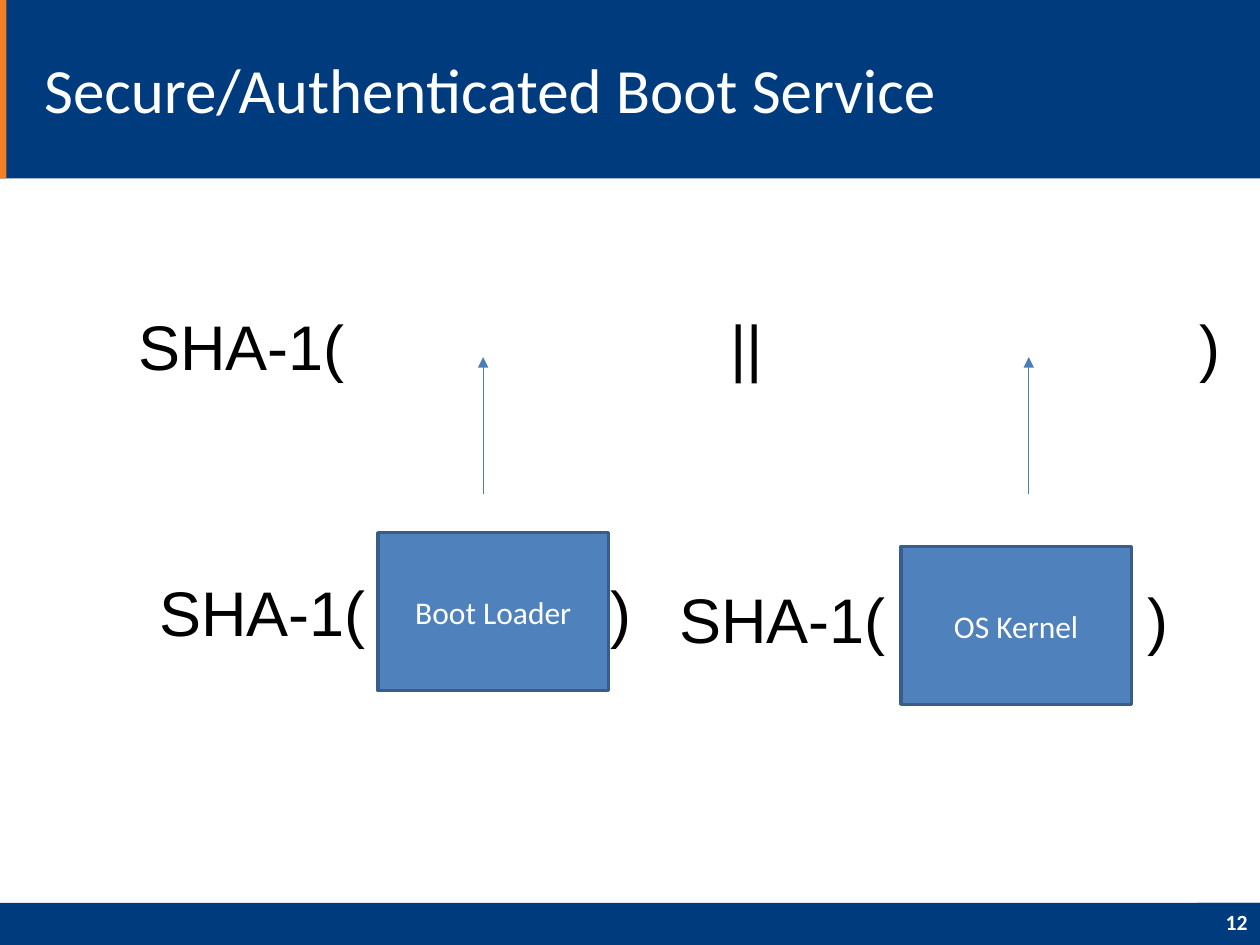
from dataclasses import dataclass

from lxml import etree
from pptx import Presentation
from pptx.dml.color import RGBColor
from pptx.enum.shapes import MSO_CONNECTOR, MSO_SHAPE
from pptx.enum.text import MSO_ANCHOR, MSO_AUTO_SIZE, PP_ALIGN
from pptx.oxml.ns import qn
from pptx.util import Cm, Pt

RECTANGLE = MSO_SHAPE.RECTANGLE
STRAIGHT = MSO_CONNECTOR.STRAIGHT
TOP, MIDDLE = MSO_ANCHOR.TOP, MSO_ANCHOR.MIDDLE
LEFT, CENTER, RIGHT = PP_ALIGN.LEFT, PP_ALIGN.CENTER, PP_ALIGN.RIGHT
SLIDE_WIDTH, SLIDE_HEIGHT = 25.4, 19.05


@dataclass(frozen=True)
class Theme:
    navy: str = "003C7D"
    orange: str = "F47F24"
    box_fill: str = "4F81BD"
    box_line: str = "385D8A"
    arrow: str = "4A7EBB"
    white: str = "FFFFFF"
    black: str = "000000"
    heading_font: str = "Calibri"
    formula_font: str = "Arial"
    large: float = 36
    label: float = 18
    number: float = 12.4


THEME = Theme()


def color(value):
    return RGBColor.from_string(value)


def write_text(shape, text, *, size, font=THEME.heading_font, fill=THEME.white,
               bold=False, align=LEFT, anchor=MIDDLE, spacing=None, tabs=()):
    """Fill a shape with one formatted paragraph; tabs are in centimetres."""
    frame = shape.text_frame
    frame.word_wrap = True
    frame.vertical_anchor = anchor
    paragraph = frame.paragraphs[0]
    paragraph.alignment = align
    if spacing:
        paragraph.line_spacing = spacing
    run = paragraph.add_run()
    run.text = text
    run.font.size, run.font.name, run.font.bold = Pt(size), font, bold
    run.font.color.rgb = color(fill)
    if tabs:
        properties = paragraph._p.get_or_add_pPr()
        tab_list = etree.SubElement(properties, qn("a:tabLst"))
        for position in tabs:
            etree.SubElement(tab_list, qn("a:tab"), pos=str(int(Cm(position))), algn="l")


def add_box(slide, box, fill, line=None):
    shape = slide.shapes.add_shape(RECTANGLE, *map(Cm, box))
    shape.shadow.inherit = False
    shape.fill.solid()
    shape.fill.fore_color.rgb = color(fill)
    if line:
        shape.line.color.rgb = color(line)
        shape.line.width = Pt(2)
    else:
        shape.line.fill.background()
    return shape


def add_formula(slide, box, text, tabs):
    shape = slide.shapes.add_textbox(*map(Cm, box))
    write_text(shape, text, size=THEME.large, font=THEME.formula_font,
               fill=THEME.black, anchor=TOP, tabs=tabs)
    shape.text_frame.auto_size = MSO_AUTO_SIZE.SHAPE_TO_FIT_TEXT


def add_up_arrow(slide, x, bottom, top):
    arrow = slide.shapes.add_connector(STRAIGHT, Cm(x), Cm(bottom), Cm(x), Cm(top))
    arrow.line.color.rgb = color(THEME.arrow)
    arrow.line.width = Pt(0.75)
    etree.SubElement(arrow.line._get_or_add_ln(), qn("a:tailEnd"), type="triangle")
    etree.SubElement(arrow._element.spPr, qn("a:effectLst"))


def add_header(slide, box, title):
    left, top, width, height = box
    add_box(slide, box, THEME.navy)
    add_box(slide, (left, top, 0.13, height), THEME.orange)
    shape = slide.shapes.add_textbox(*map(Cm, (left + 0.64, top + 0.42, 18.62, 2.74)))
    write_text(shape, title, size=THEME.large)


def add_footer(slide, box, number):
    left, top, width, height = box
    add_box(slide, box, THEME.navy)
    shape = add_box(slide, (left + width - 1.27, top, 1.27, height), THEME.navy)
    write_text(shape, number, size=THEME.number, bold=True, align=RIGHT, spacing=0.8)


def add_component_hash(slide, box, name, block_offset, close_tab, arrow_offset):
    """Hash of one component, with an arrow up to the combined hash."""
    left, top, width, height = box
    block_left, block_top = block_offset
    block = add_box(slide, (left + block_left, top + block_top, 4.65, 3.18),
                    THEME.box_fill, THEME.box_line)
    write_text(block, name, size=THEME.label, align=CENTER)
    add_formula(slide, box, "SHA-1(\t)", [close_tab])
    add_up_arrow(slide, left + arrow_offset, 9.95, 7.2)


def main():
    presentation = Presentation()
    presentation.slide_width, presentation.slide_height = Cm(SLIDE_WIDTH), Cm(SLIDE_HEIGHT)
    slide = presentation.slides.add_slide(presentation.slide_layouts[6])

    # Page frame
    add_header(slide, (0, 0, SLIDE_WIDTH, 3.6), "Secure/Authenticated Boot Service")
    add_footer(slide, (0, 18.2, SLIDE_WIDTH, 0.85), "12")

    # Component hashes
    add_component_hash(slide, (2.96, 11.43, 11.64, 1.78), "Boot Loader",
                       (4.66, -0.69), 9.1, 6.78)
    add_component_hash(slide, (13.44, 11.58, 11.64, 1.78), "OS Kernel",
                       (4.72, -0.56), 9.45, 7.3)

    # Combined hash
    add_formula(slide, (2.54, 6.07, 22.56, 1.78), "SHA-1(\t||\t)", [11.93, 21.4])

    presentation.save("out.pptx")


if __name__ == "__main__":
    main()
